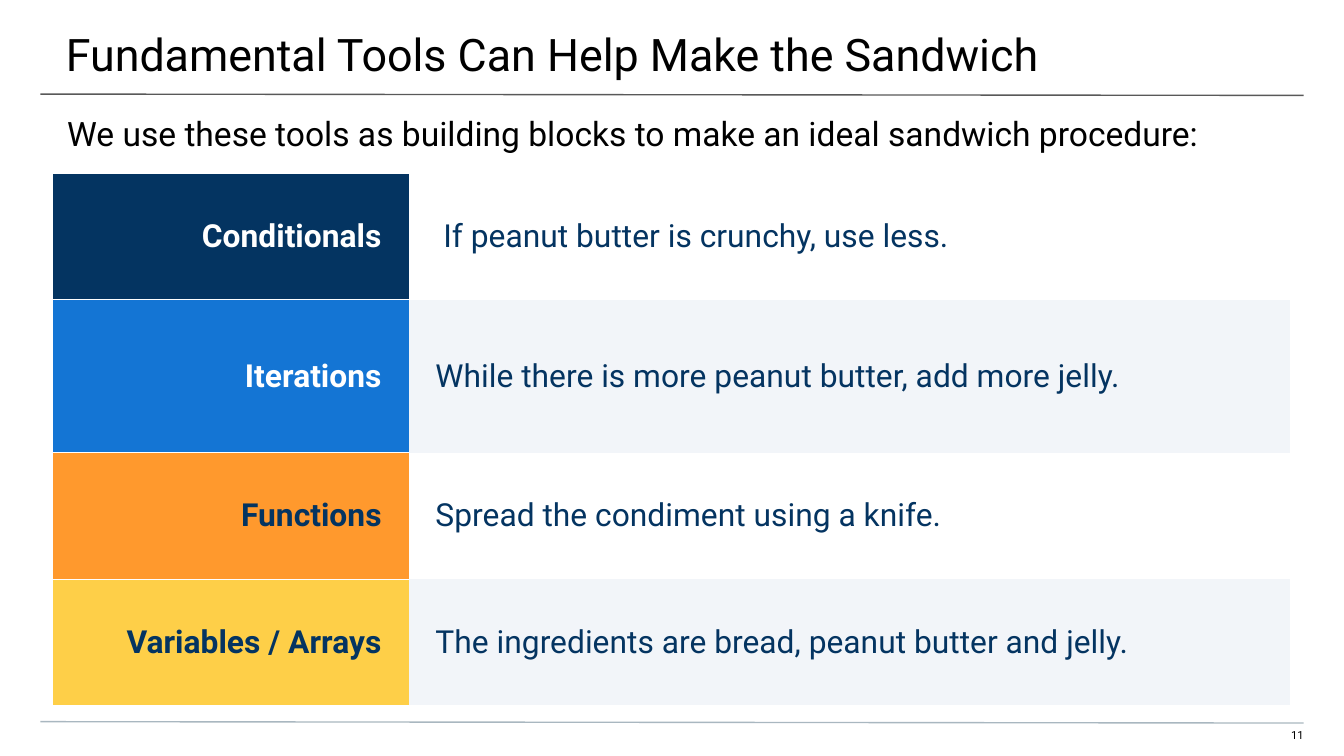
from lxml import etree
from pptx import Presentation
from pptx.dml.color import RGBColor
from pptx.enum.shapes import MSO_CONNECTOR as CONN
from pptx.enum.text import MSO_ANCHOR as ANCHOR, PP_ALIGN as ALIGN
from pptx.oxml.ns import qn
from pptx.util import Inches, Pt

COLORS = {
    "black": "000000", "white": "FFFFFF", "navy": "043461",
    "blue": "1475D4", "orange": "FF992D", "yellow": "FECF48",
    "pale": "F2F5F9", "rule": "595959", "footer_rule": "A9B7C0",
}

# Tool, its label fill and label colour, example, example fill, row height
TOOLS = [
    ("Conditionals", "navy", "white",
     " If peanut butter is crunchy, use less.", "white", 0.94),
    ("Iterations", "blue", "white",
     "While there is more peanut butter, add more jelly.", "pale", 1.14),
    ("Functions", "orange", "navy",
     "Spread the condiment using a knife.", "white", 0.94),
    ("Variables / Arrays", "yellow", "navy",
     "The ingredients are bread, peanut butter and jelly.", "pale", 0.94),
]


def rgb(name):
    return RGBColor.from_string(COLORS[name])


def write(tf, text, size=18, color="black", bold=False, align=ALIGN.LEFT,
          font="Roboto"):
    p = tf.paragraphs[0]
    p.alignment = align
    r = p.add_run()
    r.text = text
    r.font.name, r.font.size, r.font.bold = font, Pt(size), bold
    r.font.color.rgb = rgb(color)


class SlideBuilder:
    def __init__(self, slide):
        self.s = slide
        self.line_width = 0.75
        self.cell_margin = 0.2

    def text(self, text, x, y, w, h, insets=(0, 0, 0, 0), **fmt):
        tf = self.s.shapes.add_textbox(*map(Inches, (x, y, w, h))).text_frame
        tf.word_wrap = True
        tf.vertical_anchor = ANCHOR.TOP
        (tf.margin_left, tf.margin_top,
         tf.margin_right, tf.margin_bottom) = map(Inches, insets)
        write(tf, text, **fmt)

    def line(self, x1, y1, x2, y2, color):
        c = self.s.shapes.add_connector(
            CONN.STRAIGHT, *map(Inches, (x1, y1, x2, y2)))
        c.line.color.rgb = rgb(color)
        c.line.width = Pt(self.line_width)
        etree.SubElement(c._element.spPr, qn("a:effectLst"))

    def borders(self, cell, sides):
        """Draw white borders on the given sides and clear the others."""
        tc_pr = cell._tc.get_or_add_tcPr()
        for i, side in enumerate("LRTB"):
            ln = etree.Element(qn(f"a:ln{side}"))
            if side in sides:
                ln.set("w", str(Pt(self.line_width)))
                fill = etree.SubElement(ln, qn("a:solidFill"))
                etree.SubElement(fill, qn("a:srgbClr"), val=COLORS["white"])
            else:
                etree.SubElement(ln, qn("a:noFill"))
            tc_pr.insert(i, ln)

    def cell(self, cell, text, fill, sides="", **fmt):
        cell.fill.solid()
        cell.fill.fore_color.rgb = rgb(fill)
        cell.vertical_anchor = ANCHOR.MIDDLE
        cell.margin_left = cell.margin_right = Inches(self.cell_margin)
        cell.margin_top = cell.margin_bottom = Inches(self.cell_margin)
        write(cell.text_frame, text, size=17, **fmt)
        self.borders(cell, sides)

    def tool_table(self, x, y, widths, tools):
        height = sum(tool[-1] for tool in tools)
        table = self.s.shapes.add_table(
            len(tools), len(widths),
            *map(Inches, (x, y, sum(widths), height))).table
        table.first_row = table.horz_banding = False
        for col, width in zip(table.columns, widths):
            col.width = Inches(width)
        for i, (name, fill, color, example, shade, h) in enumerate(tools):
            table.rows[i].height = Inches(h)
            self.cell(table.cell(i, 0), name, fill, sides="LTB",
                      color=color, bold=True, align=ALIGN.RIGHT)
            self.cell(table.cell(i, 1), example, shade, color="navy")


def main():
    # 16:9 slide
    prs = Presentation()
    prs.slide_width = Inches(10)
    prs.slide_height = Inches(10 * 9 / 16)
    s = SlideBuilder(prs.slides.add_slide(prs.slide_layouts[6]))

    # Page number and rules
    s.text("11", 9.41, 5.42, 0.29, 0.12, (0, 0, 0, 0.1),
           size=6, align=ALIGN.RIGHT)
    s.line(0.3, 0.7, 9.7, 0.71, "rule")
    s.line(0.3, 5.37, 9.7, 5.38, "footer_rule")

    # Title and subtitle
    s.text("Fundamental Tools Can Help Make the Sandwich",
           -0.01, 0, 10.03, 0.58, (0.5, 0.2, 0.3, 0.1), size=24)
    s.text("We use these tools as building blocks to make an ideal "
           "sandwich procedure:", 0, 0.74, 10, 0.4, (0.5, 0.1, 0.5, 0))

    # Tools with their examples
    s.tool_table(0.39, 1.29, (2.65, 6.56), TOOLS)

    prs.save("out.pptx")


if __name__ == "__main__":
    main()
